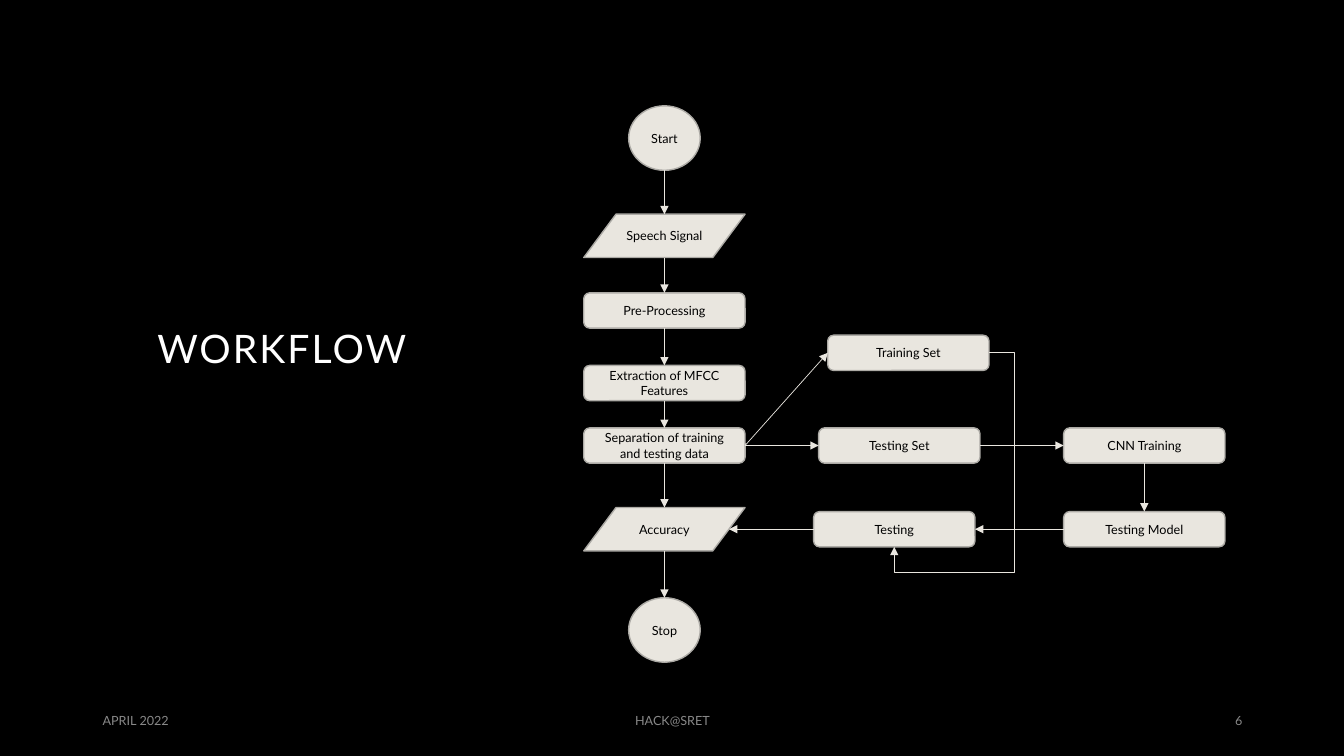
from pptx import Presentation
from pptx.dml.color import RGBColor
from pptx.enum.shapes import MSO_CONNECTOR, MSO_SHAPE
from pptx.enum.text import MSO_ANCHOR, PP_ALIGN
from pptx.oxml.ns import qn
from pptx.util import Inches, Pt
from lxml import etree

CIRCLE = MSO_SHAPE.OVAL
DATA = MSO_SHAPE.FLOWCHART_DATA
STEP = MSO_SHAPE.ROUNDED_RECTANGLE
STRAIGHT, ELBOW = MSO_CONNECTOR.STRAIGHT, MSO_CONNECTOR.ELBOW
LEFT_ALIGN, CENTER, RIGHT_ALIGN = PP_ALIGN.LEFT, PP_ALIGN.CENTER, PP_ALIGN.RIGHT
MIDDLE = MSO_ANCHOR.MIDDLE
TOP, LEFT, BOTTOM, RIGHT = range(4)

SIZES = {CIRCLE: (0.71, 0.64), DATA: (1.6, 0.43), STEP: (1.6, 0.35)}
MAIN_X, TEST_X, MODEL_X = 6.59, 8.87, 11.35
SPLIT_Y, RESULT_Y = 4.42, 5.25
SEPARATION = "Separation of training and testing data"

# label: (kind, centre x, centre y)
NODES = {
    "Start": (CIRCLE, MAIN_X, 1.37),
    "Speech Signal": (DATA, MAIN_X, 2.34),
    "Pre-Processing": (STEP, MAIN_X, 3.08),
    "Extraction of MFCC Features": (STEP, MAIN_X, 3.8),
    SEPARATION: (STEP, MAIN_X, SPLIT_Y),
    "Accuracy": (DATA, MAIN_X, RESULT_Y),
    "Stop": (CIRCLE, MAIN_X, 6.25),
    "Training Set": (STEP, 9.01, 3.5),
    "Testing Set": (STEP, 8.92, SPLIT_Y),
    "Testing": (STEP, TEST_X, RESULT_Y),
    "CNN Training": (STEP, MODEL_X, SPLIT_Y),
    "Testing Model": (STEP, MODEL_X, RESULT_Y),
}
BRANCHES = [
    (SEPARATION, RIGHT, "Training Set", LEFT),
    (SEPARATION, RIGHT, "Testing Set", LEFT),
    ("Testing Set", RIGHT, "CNN Training", LEFT),
    ("CNN Training", BOTTOM, "Testing Model", TOP),
    ("Testing Model", LEFT, "Testing", RIGHT),
    ("Testing", LEFT, "Accuracy", RIGHT),
]
FOOTERS = [
    ("APRIL 2022", 0.92, 3, LEFT_ALIGN),
    ("HACK@SRET", 4.42, 4.5, CENTER),
    ("6", 9.42, 3, RIGHT_ALIGN),
]


class FlowPage:
    font = "Lato"
    colors = {"back": "000000", "title": "FFFFFF", "footer": "898989",
              "fill": "E9E6DF", "edge": "ACAAA5", "label": "000000"}

    def __init__(self, deck):
        self.page = deck.slides.add_slide(deck.slide_layouts[5])
        self.shapes = self.page.shapes
        background = self.page.background.fill
        background.solid()
        background.fore_color.rgb = self.color("back")

    def color(self, name):
        return RGBColor.from_string(self.colors[name])

    def set_text(self, shape, text, size, color, align=CENTER):
        frame = shape.text_frame
        frame.word_wrap = True
        frame.vertical_anchor = MIDDLE
        para = frame.paragraphs[0]
        para.text = text
        para.alignment = align
        para.font.name = self.font
        para.font.size = Pt(size)
        para.font.color.rgb = self.color(color)
        return para

    def title(self, text, left, top, width, height):
        box = self.shapes.title
        box.left, box.top = Inches(left), Inches(top)
        box.width, box.height = Inches(width), Inches(height)
        para = self.set_text(box, text, 28, "title")
        para.line_spacing = 0.9
        para._p.pPr.find(qn("a:defRPr")).set("spc", "150")

    def footer(self, text, left, width, align):
        box = self.shapes.add_textbox(Inches(left), Inches(6.95), Inches(width), Inches(0.4))
        self.set_text(box, text, 9, "footer", align)

    def node(self, text, kind, center_x, center_y):
        width, height = SIZES[kind]
        shape = self.shapes.add_shape(kind, Inches(center_x - width / 2), Inches(center_y - height / 2),
                                      Inches(width), Inches(height))
        shape.shadow.inherit = False
        shape.fill.solid()
        shape.fill.fore_color.rgb = self.color("fill")
        shape.line.color.rgb = self.color("edge")
        shape.line.width = Pt(1)
        self.set_text(shape, text, 9, "label")
        return shape

    def side_point(self, shape, side):
        """Middle of a side; a slanted side lies a tenth of the width inward."""
        inset = shape.width // 10 if shape.auto_shape_type == DATA else 0
        middle_x, middle_y = shape.left + shape.width // 2, shape.top + shape.height // 2
        return {TOP: (middle_x, shape.top),
                LEFT: (shape.left + inset, middle_y),
                BOTTOM: (middle_x, shape.top + shape.height),
                RIGHT: (shape.left + shape.width - inset, middle_y)}[side]

    def arrow(self, source, source_side, target, target_side, kind=STRAIGHT):
        line = self.shapes.add_connector(kind, *self.side_point(source, source_side),
                                         *self.side_point(target, target_side))
        if source.auto_shape_type == STEP:
            line.begin_connect(source, source_side)
        if target.auto_shape_type == STEP:
            line.end_connect(target, target_side)
        line.line.color.rgb = self.color("fill")
        line.line.width = Pt(0.5)
        etree.SubElement(line.line._get_or_add_ln(), qn("a:tailEnd"), type="triangle")
        etree.SubElement(line._element.spPr, qn("a:effectLst"))
        return line

    def detour(self, source, target, gap):
        """Arrow that leaves at the right and enters from below, gap inches outside."""
        line = self.arrow(source, RIGHT, target, BOTTOM, ELBOW)
        geometry = line._element.spPr.find(qn("a:prstGeom"))
        geometry.set("prst", "bentConnector4")
        guides = geometry.find(qn("a:avLst"))
        ratios = (-Inches(gap) / line.width, 1 + Inches(gap) / line.height)
        for number, ratio in enumerate(ratios, 1):
            etree.SubElement(guides, qn("a:gd"), name=f"adj{number}", fmla=f"val {round(ratio * 100000)}")


def main():
    deck = Presentation()
    deck.slide_width, deck.slide_height = Inches(13.33), Inches(7.5)
    flow = FlowPage(deck)
    flow.title("WORKFLOW", -1.81, 2.76, 9.21, 1.45)
    for footer in FOOTERS:
        flow.footer(*footer)

    nodes = {label: flow.node(label, *place) for label, place in NODES.items()}
    main_path = [nodes[label] for label, place in NODES.items() if place[1] == MAIN_X]
    for upper, lower in zip(main_path, main_path[1:]):
        flow.arrow(upper, BOTTOM, lower, TOP)
    for source, source_side, target, target_side in BRANCHES:
        flow.arrow(nodes[source], source_side, nodes[target], target_side)
    flow.detour(nodes["Training Set"], nodes["Testing"], 0.25)
    deck.save("out.pptx")


if __name__ == "__main__":
    main()
